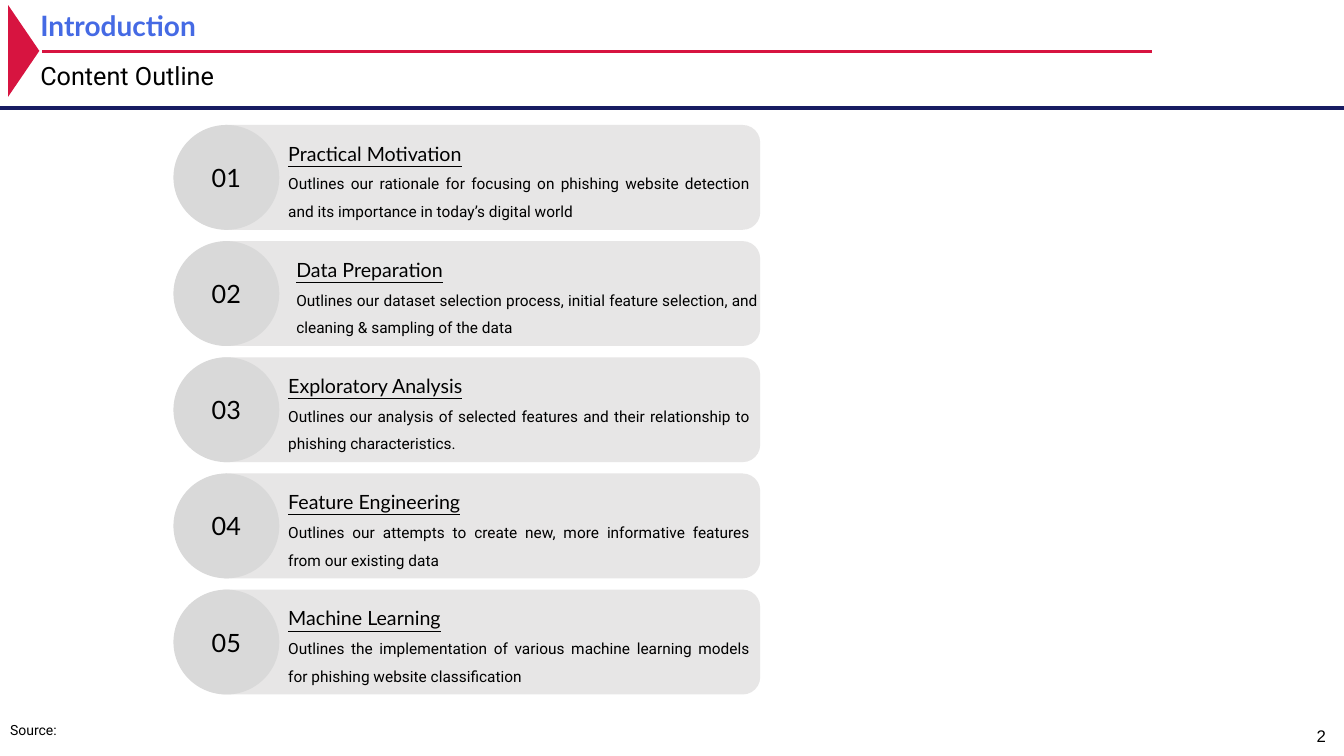
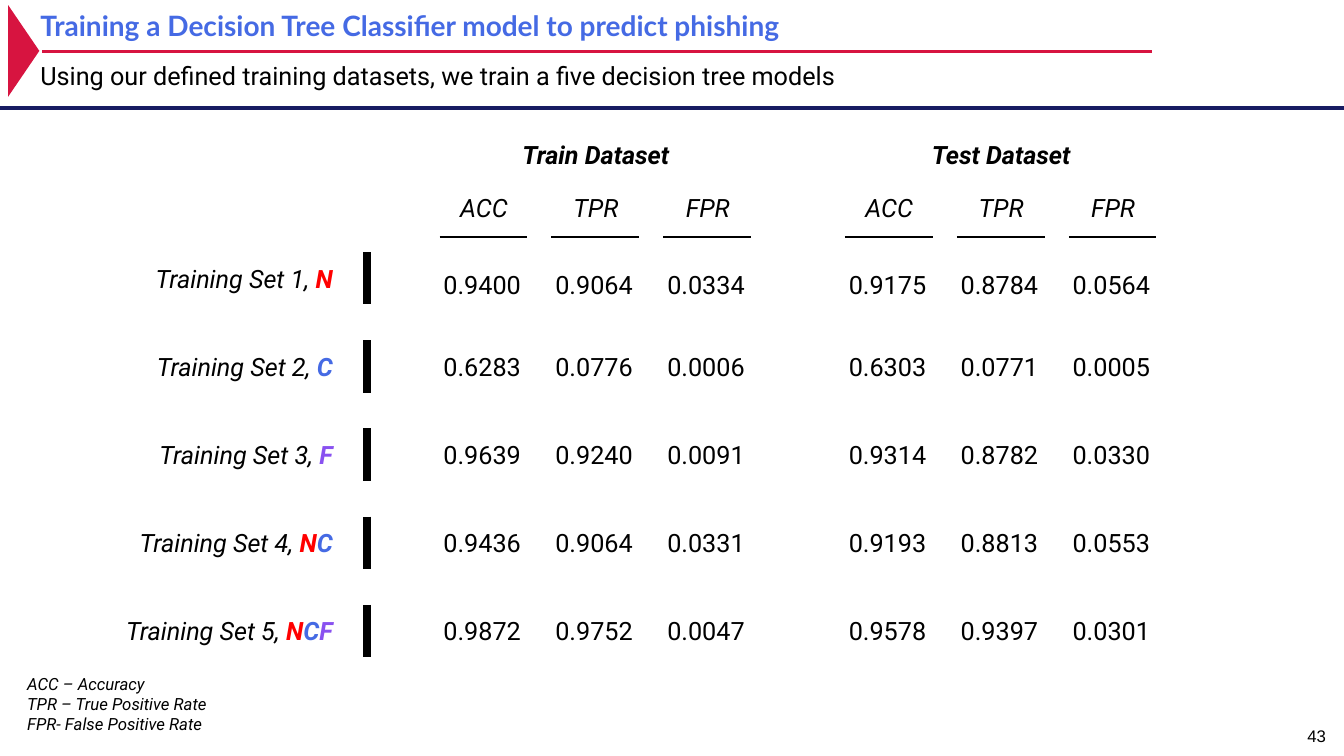
from pptx import Presentation
from pptx.dml.color import RGBColor as RGB
from pptx.enum.shapes import MSO_CONNECTOR as Line, MSO_SHAPE as Shape
from pptx.enum.text import MSO_ANCHOR as Anchor, MSO_AUTO_SIZE as Fit, PP_ALIGN as Align
from pptx.oxml.ns import qn
from pptx.util import Inches, Pt

HUES = {"black": "000000", "blue": "456AE4", "red": "D71440", "navy": "181C62",
        "card": "E7E6E6", "disc": "D9D9D9",
        "N": "FF0000", "C": "456AE4", "F": "8951F0"}

TITLE = {"size": 20, "name": "Lato", "bold": True, "hue": "blue"}
LEAD = {"size": 18, "name": "Roboto", "bold": False}
NOTE = {"size": 10, "name": "Roboto", "bold": False}
PAGE = {"size": 12, "name": "Arial"}
DISC = {"size": 18, "name": "Lato"}
TOPIC = {"size": 14, "name": "Lato", "underline": True}
BLURB = {"size": 11, "name": "Roboto"}
VALUE = {"size": 18, "name": "Roboto"}
LABEL = {**VALUE, "italic": True}
HEAD = {**LABEL, "bold": True}
KEY = {"size": 12, "name": "Roboto", "italic": True}

# heading, description, shift of the text to the right
TOPICS = [
    ("Practical Motivation", "Outlines our rationale for focusing on phishing website "
     "detection and its importance in today’s digital world", 0),
    ("Data Preparation", "Outlines our dataset selection process, initial feature "
     "selection, and cleaning & sampling of the data", 0.08),
    ("Exploratory Analysis", "Outlines our analysis of selected features and their "
     "relationship to phishing characteristics.", 0),
    ("Feature Engineering", "Outlines our attempts to create new, more informative "
     "features from our existing data", 0),
    ("Machine Learning", "Outlines the implementation of various machine learning "
     "models for phishing website classification", 0),
]
GROUPS = ["Train Dataset", "Test Dataset"]
RATES = ["ACC", "TPR", "FPR"]
SCORES = [
    ("N", ["0.9400", "0.9064", "0.0334"], ["0.9175", "0.8784", "0.0564"]),
    ("C", ["0.6283", "0.0776", "0.0006"], ["0.6303", "0.0771", "0.0005"]),
    ("F", ["0.9639", "0.9240", "0.0091"], ["0.9314", "0.8782", "0.0330"]),
    ("NC", ["0.9436", "0.9064", "0.0331"], ["0.9193", "0.8813", "0.0553"]),
    ("NCF", ["0.9872", "0.9752", "0.0047"], ["0.9578", "0.9397", "0.0301"]),
]
KEYS = ["ACC – Accuracy", "TPR – True Positive Rate", "FPR- False Positive Rate"]


def write(shape, paras, align=Align.LEFT, anchor=Anchor.TOP, gap=1.0):
    """Fill a shape; each paragraph is a list of (text, format) runs."""
    frame = shape.text_frame
    frame.word_wrap, frame.auto_size = True, Fit.NONE
    frame.vertical_anchor = anchor
    for n, runs in enumerate(paras):
        para = frame.add_paragraph() if n else frame.paragraphs[0]
        para.line_spacing, para.space_before = gap, Pt(0)
        para.alignment = align[n] if isinstance(align, list) else align
        for text, form in runs:
            run = para.add_run()
            run.text = text
            look = dict(form)
            run.font.color.rgb = RGB.from_string(HUES[look.pop("hue", "black")])
            look["size"] = Pt(look["size"])
            for key, val in look.items():
                setattr(run.font, key, val)


def label(slide, box, paras, **opts):
    write(slide.shapes.add_textbox(*map(Inches, box)), paras, **opts)


def solid(slide, kind, box, hue):
    shape = slide.shapes.add_shape(kind, *map(Inches, box))
    shape.shadow.inherit = False
    shape.fill.solid()
    shape.fill.fore_color.rgb = RGB.from_string(HUES[hue])
    shape.line.fill.background()
    return shape


def rule(slide, ends, hue, width):
    line = slide.shapes.add_connector(Line.STRAIGHT, *map(Inches, ends))
    line.line.color.rgb = RGB.from_string(HUES[hue])
    line.line.width = Pt(width)
    props = line._element.spPr
    props.append(props.makeelement(qn("a:effectLst"), {}))


def start(deck, title, lead, page, note=None):
    """Add a slide with the shared header, page number and optional source note."""
    slide = deck.slides.add_slide(deck.slide_layouts.get_by_name("Comparison"))
    parts = {
        0: (title, TITLE, (0.3, -0.09, 11.13, 0.72), Anchor.MIDDLE),
        1: (lead, LEAD, (0.3, 0.41, 11.69, 0.72), Anchor.MIDDLE),
        3: (note, NOTE, (0, 7.01, 6.67, 0.37), Anchor.BOTTOM),
    }
    for holder in list(slide.placeholders):
        text, form, box, anchor = parts.get(holder.placeholder_format.idx, [None] * 4)
        if not text:
            holder._element.getparent().remove(holder._element)
            continue
        holder.left, holder.top, holder.width, holder.height = map(Inches, box)
        write(holder, [[(text, form)]], anchor=anchor, gap=0.9)
    solid(slide, Shape.ISOSCELES_TRIANGLE, (-0.22, 0.35, 0.91, 0.31), "red").rotation = 90
    rule(slide, (-0.38, 1.07, 13.57, 1.07), "navy", 2.5)
    rule(slide, (0.42, 0.51, 11.43, 0.51), "red", 2)
    label(slide, (12.83, 7.15, 0.42, 0.3), [[(page, PAGE)]], align=Align.RIGHT)
    return slide


def outline(deck):
    slide = start(deck, "Introduction", "Content Outline", "2", "Source:")
    first, last, high = 1.24, 5.85, 1.04
    step = (last - first) / (len(TOPICS) - 1)
    for n, (topic, blurb, shift) in enumerate(TOPICS):
        top = first + n * step
        solid(slide, Shape.ROUNDED_RECTANGLE, (2.06, top, 5.48, high), "card")
        disc = solid(slide, Shape.OVAL, (1.72, top, 1.05, high), "disc")
        write(disc, [[(f"{n + 1:02}", DISC)]], align=Align.CENTER, anchor=Anchor.MIDDLE)
        label(slide, (2.76 + shift, top, 4.78, 0.98), [[(topic, TOPIC)], [(blurb, BLURB)]],
              align=[Align.LEFT, Align.JUSTIFY], gap=1.5)


def results(deck):
    slide = start(deck, "Training a Decision Tree Classifier model to predict phishing",
                  "Using our defined training datasets, we train a five decision tree models",
                  "43")
    left, block, col, row, high = 4.3, 4.02, 1.11, 0.875, 0.4
    for g, group in enumerate(GROUPS):
        edge = left + g * block
        label(slide, (edge + 0.54, 1.33, 2.14, high), [[(group, HEAD)]], align=Align.CENTER)
        for c, rate in enumerate(RATES):
            x = edge + c * col
            label(slide, (x, 1.86, 1, high), [[(rate, LABEL)]], align=Align.CENTER)
            rule(slide, (x + 0.06, 2.35, x + 0.93, 2.35), "black", 1.5)
    for r, (sets, *scores) in enumerate(SCORES):
        y = 2.56 + r * row
        rule(slide, (3.64, y - 0.06, 3.64, y + 0.46), "black", 6)
        marks = [(mark, {**HEAD, "hue": mark}) for mark in sets]
        label(slide, (0.54, y, 2.86, high), [[(f"Training Set {r + 1}, ", LABEL), *marks]],
              align=Align.RIGHT)
        drop = 0 if r else 0.06
        for g, values in enumerate(scores):
            for c, value in enumerate(values):
                label(slide, (left + g * block + c * col, y + drop, 1, high), [[(value, VALUE)]])
    label(slide, (0.17, 6.63, 6.55, 0.71), [[(key, KEY)] for key in KEYS])


def main():
    deck = Presentation()
    deck.slide_width, deck.slide_height = Inches(13.33), Inches(7.5)
    outline(deck)
    results(deck)
    deck.save("out.pptx")


if __name__ == "__main__":
    main()
